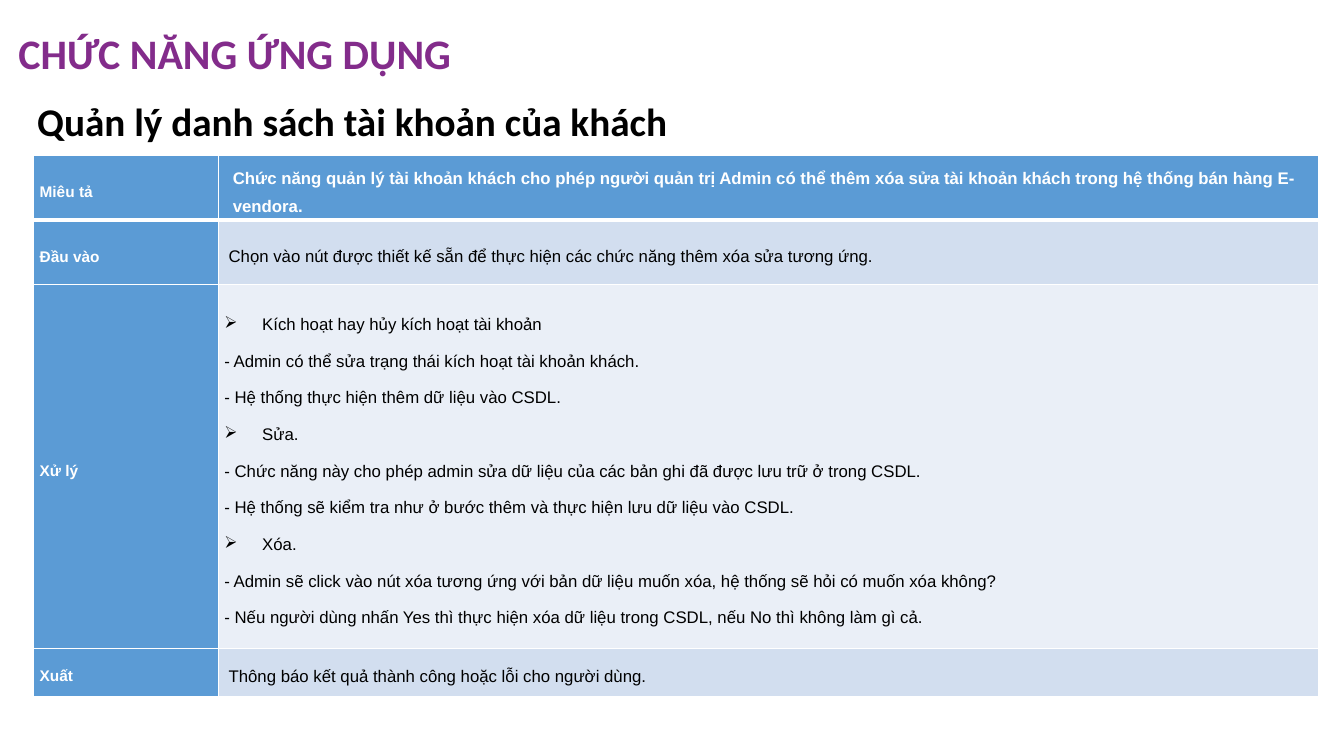
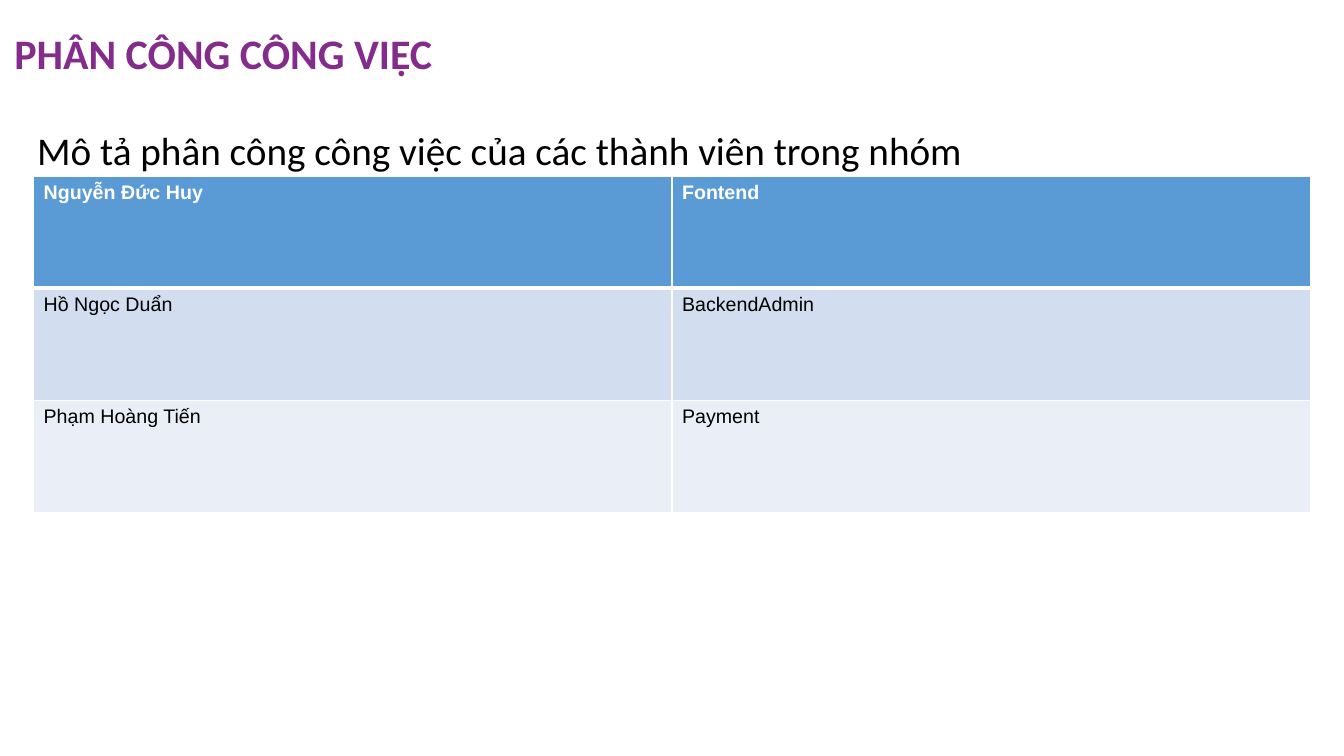
from dataclasses import dataclass, replace

from lxml.etree import SubElement
from pptx import Presentation
from pptx.dml.color import RGBColor
from pptx.enum.text import MSO_ANCHOR, MSO_AUTO_SIZE, PP_ALIGN
from pptx.oxml.ns import qn
from pptx.util import Inches, Pt


@dataclass(frozen=True)
class TextStyle:
    size: float
    color: str
    name: str = "Arial"
    bold: bool = False
    spacing: float = 1.0
    before: float = 0
    left: float = 0
    hanging: float = 0
    bullet: str = ""


class Theme:
    white = "FFFFFF"
    black = "000000"
    purple = "832C8B"
    header = "5B9BD5"
    bands = ("D2DEEF", "EAEFF7")
    thin_line = 1
    thick_line = 3

    title = TextStyle(30, purple, "Calibri", bold=True, spacing=0.9)
    subtitle = TextStyle(28, black, "Calibri", left=2.25)
    label = TextStyle(11, white, bold=True, spacing=1.5)
    detail = TextStyle(12, black, spacing=1.5, before=6)
    indented = replace(detail, left=0.5)
    summary = replace(detail, color=white, bold=True, left=1)
    step = replace(detail, left=4.5, hanging=4.5, bullet="➢")
    member_header = TextStyle(14, white, bold=True)
    member = replace(member_header, color=black, bold=False)


def apply(target, values):
    for name, value in values.items():
        setattr(target, name, value)


class SlideBuilder:
    columns, rows = 160, 90

    def __init__(self, theme):
        self.theme = theme
        self.deck = Presentation()
        apply(self.deck, {"slide_width": Inches(13.33), "slide_height": Inches(7.5)})
        self.page = None

    def across(self, count):
        return round(self.deck.slide_width * count / self.columns)

    def down(self, count):
        return round(self.deck.slide_height * count / self.rows)

    def place(self, left, top, width, height):
        return self.across(left), self.down(top), self.across(width), self.down(height)

    def add_lines(self, frame, lines):
        for index, (text, style) in enumerate(lines):
            para = frame.add_paragraph() if index else frame.paragraphs[0]
            properties = para._p.get_or_add_pPr()
            properties.set("marL", str(self.across(style.left)))
            properties.set("indent", str(-self.across(style.hanging)))
            if style.bullet:
                SubElement(properties, qn("a:buChar")).set("char", style.bullet)
            apply(para, {
                "alignment": PP_ALIGN.LEFT,
                "line_spacing": style.spacing,
                "space_before": Pt(style.before if index else 0),
            })
            span = para.add_run()
            span.text = text
            apply(span.font, {"size": Pt(style.size), "name": style.name, "bold": style.bold})
            span.font.color.rgb = RGBColor.from_string(style.color)

    def format_frame(self, frame, anchor):
        margin = Inches(0.1)
        apply(frame, {
            "word_wrap": True,
            "auto_size": MSO_AUTO_SIZE.NONE,
            "vertical_anchor": anchor,
            "margin_left": margin,
            "margin_right": margin,
            "margin_top": margin,
            "margin_bottom": margin,
        })

    def add_page(self, title, left):
        self.page = self.deck.slides.add_slide(self.deck.slide_layouts[5])
        box = self.page.shapes.title
        area = self.place(left, 0, 138, 13.4)
        apply(box, dict(zip(("left", "top", "width", "height"), area)))
        self.format_frame(box.text_frame, MSO_ANCHOR.MIDDLE)
        self.add_lines(box.text_frame, [(title, self.theme.title)])

    def add_subtitle(self, text, height, **changes):
        box = self.page.shapes.add_textbox(*self.place(1, 11, 156, height))
        self.format_frame(box.text_frame, MSO_ANCHOR.TOP)
        self.add_lines(box.text_frame, [(text, replace(self.theme.subtitle, **changes))])

    def add_border(self, cell, side, width):
        line = SubElement(cell._tc.get_or_add_tcPr(), qn(f"a:ln{side}"))
        line.set("w", str(Pt(width)))
        fill = SubElement(line, qn("a:solidFill"))
        SubElement(fill, qn("a:srgbClr")).set("val", self.theme.white)

    def add_table(self, top, widths, heights, content, label_column=False, cell_format=None):
        area = self.place(4, top, sum(widths), sum(heights))
        table = self.page.shapes.add_table(len(heights), len(widths), *area).table
        for column, width in zip(table.columns, widths):
            column.width = self.across(width)
        for row, height in zip(table.rows, heights):
            row.height = self.down(height)
        for row_index, row in enumerate(content):
            for column_index, lines in enumerate(row):
                cell = table.cell(row_index, column_index)
                self.add_lines(cell.text_frame, lines)
                apply(cell, cell_format or {})
                thick_sides = {0: "B", 1: "T"}.get(row_index, "")
                for side in "LRTB":
                    thick = side in thick_sides
                    self.add_border(cell, side, self.theme.thick_line if thick else self.theme.thin_line)
                heading = row_index == 0 or (label_column and column_index == 0)
                color = self.theme.header if heading else self.theme.bands[(row_index - 1) % 2]
                cell.fill.solid()
                cell.fill.fore_color.rgb = RGBColor.from_string(color)


def add_account_page(builder):
    theme = builder.theme
    builder.add_page("CHỨC NĂNG ỨNG DỤNG", 1)
    builder.add_subtitle("Quản lý danh sách tài khoản của khách", 7.5, bold=True, spacing=0.9)
    actions = [
        ("Kích hoạt hay hủy kích hoạt tài khoản", theme.step),
        ("- Admin có thể sửa trạng thái kích hoạt tài khoản khách.", theme.detail),
        ("- Hệ thống thực hiện thêm dữ liệu vào CSDL.", theme.detail),
        ("Sửa.", theme.step),
        ("- Chức năng này cho phép admin sửa dữ liệu của các bản ghi đã được lưu trữ ở trong CSDL.", theme.detail),
        ("- Hệ thống sẽ kiểm tra như ở bước thêm và thực hiện lưu dữ liệu vào CSDL.", theme.detail),
        ("Xóa.", theme.step),
        ("- Admin sẽ click vào nút xóa tương ứng với bản dữ liệu muốn xóa, hệ thống sẽ hỏi có muốn xóa không?",
         theme.detail),
        ("- Nếu người dùng nhấn Yes thì thực hiện xóa dữ liệu trong CSDL, nếu No thì không làm gì cả.", theme.detail),
    ]
    sections = {
        "Miêu tả": [(
            "Chức năng quản lý tài khoản khách cho phép người quản trị Admin có thể thêm xóa sửa "
            "tài khoản khách trong hệ thống bán hàng E-vendora.", theme.summary)],
        "Đầu vào": [(
            "Chọn vào nút được thiết kế sẵn để thực hiện các chức năng thêm xóa sửa tương ứng.", theme.indented)],
        "Xử lý": actions,
        "Xuất": [("Thông báo kết quả thành công hoặc lỗi cho người dùng.", theme.indented)],
    }
    content = [([(label, theme.label)], lines) for label, lines in sections.items()]
    cell_format = {
        "vertical_anchor": MSO_ANCHOR.MIDDLE,
        "margin_left": Inches(0.06),
        "margin_right": Inches(0.06),
        "margin_top": 0,
        "margin_bottom": 0,
    }
    builder.add_table(18.5, (22, 131), (7.7, 7.7, 43.3, 5.7), content, True, cell_format)


def add_assignment_page(builder):
    theme = builder.theme
    builder.add_page("PHÂN CÔNG CÔNG VIỆC", 0.5)
    builder.add_subtitle("Mô tả phân công công việc của các thành viên trong nhóm", 10, spacing=1.5)
    members = [
        ("Nguyễn Đức Huy", "Fontend"),
        ("Hồ Ngọc Duẩn", "BackendAdmin"),
        ("Phạm Hoàng Tiến", "Payment"),
    ]
    content = [
        [[(text, theme.member if index else theme.member_header)] for text in member]
        for index, member in enumerate(members)
    ]
    builder.add_table(21, (76, 76), (13.33,) * len(members), content)


def main():
    builder = SlideBuilder(Theme())
    add_account_page(builder)
    add_assignment_page(builder)
    builder.deck.save("out.pptx")


if __name__ == "__main__":
    main()
